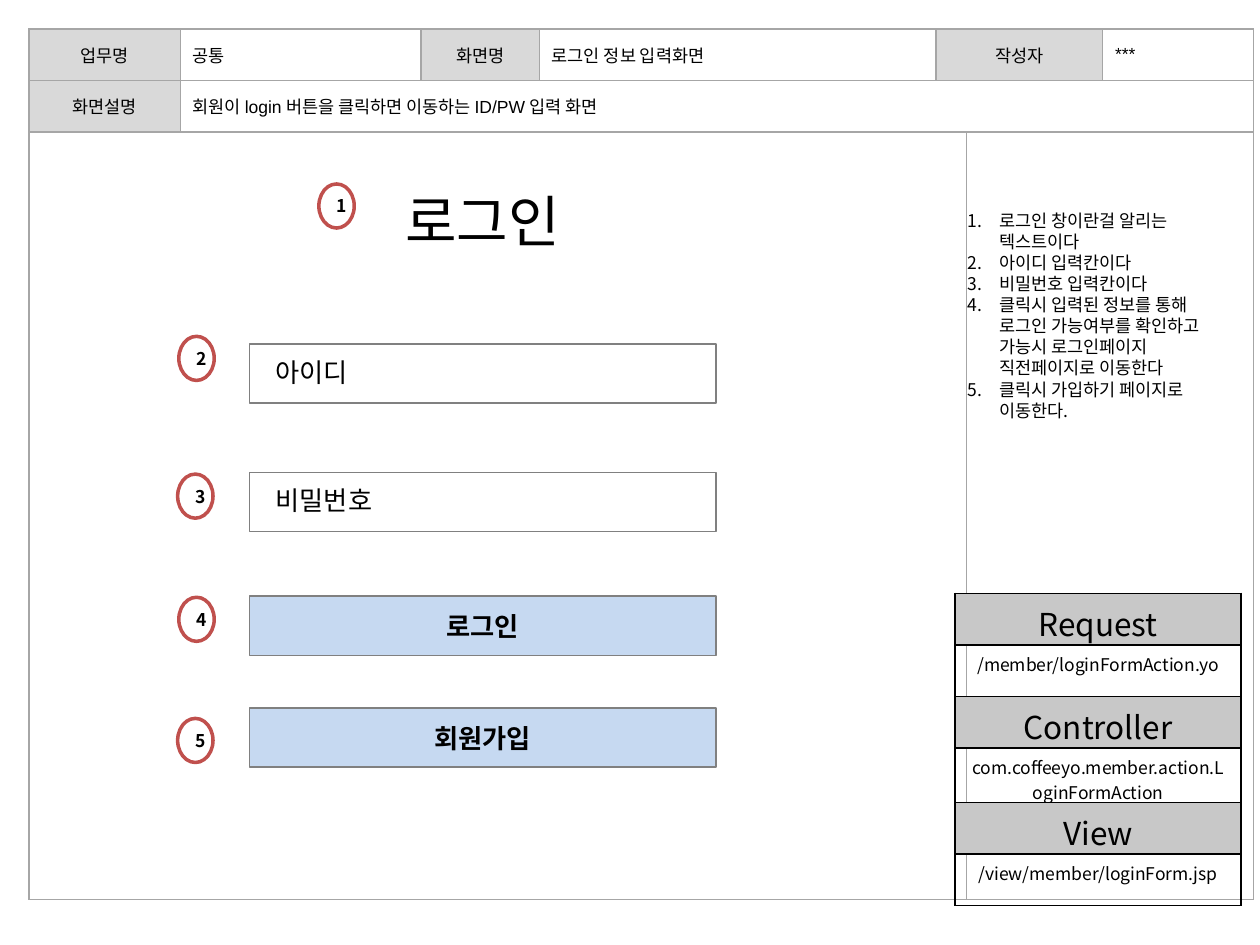
from lxml import etree
from pptx import Presentation
from pptx import util as u
from pptx.dml.color import RGBColor
from pptx.enum import shapes, text
from pptx.oxml.ns import qn

Pt = u.Pt
CJK = "Noto Sans CJK KR"
COLORS = {
    "text": "000000", "paper": "FFFFFF", "label": "D9D9D9", "grid": "A6A6A6",
    "heading": "C8C8C8", "outline": "808080", "button": "C6D9F1", "marker": "C0504D",
}

# Header cells: row, first column, last column, text, is a label
HEADER = [
    (0, 0, 0, "업무명", True), (0, 1, 1, "공통", False),
    (0, 2, 2, "화면명", True), (0, 3, 3, "로그인 정보 입력화면", False),
    (0, 4, 5, "작성자", True), (0, 6, 6, "***", False),
    (1, 0, 0, "화면설명", True),
    (1, 1, 6, "회원이 login 버튼을 클릭하면 이동하는 ID/PW 입력 화면", False),
    (2, 0, 4, "", False), (2, 5, 6, "", False),
]
FRAME_COLUMNS = [86.4, 137.5, 67.7, 226.8, 9.4, 77.8, 86.4]
FRAME_ROWS = [29.4, 29.4, 438.5]

TITLE = "로그인"
FIELDS = [("아이디", 196.4, 74.2), ("비밀번호", 270, 118.8)]  # text, top, width
BUTTONS = [("로그인", 340.8), ("회원가입", 404.6)]
MARKERS = [(182.2, 105.1), (102.2, 192.2), (101.5, 270.9), (102.2, 341.3), (101.5, 410.5)]
NOTES = [
    "로그인 창이란걸 알리는 텍스트이다",
    "아이디 입력칸이다",
    "비밀번호 입력칸이다",
    "클릭시 입력된 정보를 통해 로그인 가능여부를 확인하고 가능시 로그인페이지 직전페이지로 이동한다",
    "클릭시 가입하기 페이지로 이동한다.",
]
ROUTES = [
    ("Request", "/member/loginFormAction.yo"),
    ("Controller", "com.coffeeyo.member.action.LoginFormAction"),
    ("View", "/view/member/loginForm.jsp"),
]
CONTROL_LEFT, CONTROL_WIDTH, CONTROL_HEIGHT = 142.6, 266.4, 33.8
SIDE_LEFT, SIDE_WIDTH = 545.8, 163.4


def rgb(name):
    return RGBColor.from_string(COLORS[name])


def style(para, size, font=CJK, bold=False, align=text.PP_ALIGN.LEFT):
    para.alignment = align
    para.font.size, para.font.name, para.font.bold = Pt(size), font, bold
    para.font.color.rgb = rgb("text")


def add_grid(page, left, top, columns, rows):
    frame = page.shapes.add_table(len(rows), len(columns), Pt(left), Pt(top),
                                  Pt(sum(columns)), Pt(sum(rows)))
    table = frame.table
    table.first_row = table.horz_banding = False
    for column, width in zip(table.columns, columns):
        column.width = Pt(width)
    for row, height in zip(table.rows, rows):
        row.height = Pt(height)
    return table


def finish_cell(cell, fill, border):
    """Set the fill (None for clear) and a 1 pt border on all four sides."""
    if fill:
        cell.fill.solid()
        cell.fill.fore_color.rgb = rgb(fill)
    else:
        cell.fill.background()
    properties = cell._tc.get_or_add_tcPr()
    for index, side in enumerate(("a:lnL", "a:lnR", "a:lnT", "a:lnB")):
        line = etree.Element(qn(side), w=str(Pt(1)))
        solid = etree.SubElement(line, qn("a:solidFill"))
        etree.SubElement(solid, qn("a:srgbClr"), val=COLORS[border])
        properties.insert(index, line)


def add_block(parent, kind, place, fill, line=None, width=1, words="", **font):
    block = parent.shapes.add_shape(kind, *map(Pt, place))
    block.shadow.inherit = False
    block.fill.solid()
    block.fill.fore_color.rgb = rgb(fill)
    if line:
        block.line.color.rgb = rgb(line)
        block.line.width = Pt(width)
    else:
        block.line.fill.background()
    if words:
        block.text_frame.text = words
        block.text_frame.vertical_anchor = text.MSO_ANCHOR.MIDDLE
        style(block.text_frame.paragraphs[0], **font)
    return block


def add_text(page, place, lines):
    box = page.shapes.add_textbox(*map(Pt, place))
    box.text_frame.word_wrap = True
    box.text_frame.auto_size = text.MSO_AUTO_SIZE.SHAPE_TO_FIT_TEXT
    box.text_frame.text = "\n".join(lines)
    return box.text_frame.paragraphs


def add_frame(page):
    table = add_grid(page, 16.6, 16.6, FRAME_COLUMNS, FRAME_ROWS)
    for row, first, last, words, is_label in HEADER:
        cell = table.cell(row, first)
        if last > first:
            cell.merge(table.cell(row, last))
        cell.vertical_anchor = text.MSO_ANCHOR.MIDDLE
        cell.text = words
        align = text.PP_ALIGN.CENTER if is_label else text.PP_ALIGN.LEFT
        style(cell.text_frame.paragraphs[0], 10, "Arial", align=align)
        fill = "label" if is_label else None if words else "paper"
        for column in range(first, last + 1):
            finish_cell(table.cell(row, column), fill, "grid")


def add_form(page):
    rect, center = shapes.MSO_SHAPE.RECTANGLE, text.PP_ALIGN.CENTER
    title = add_text(page, (192.2, 103, 167, 44.6), [TITLE])[0]
    style(title, 32, align=center)
    for words, top, width in FIELDS:
        group = page.shapes.add_group_shape()
        add_block(group, rect, (CONTROL_LEFT, top, CONTROL_WIDTH, CONTROL_HEIGHT),
                  "paper", "outline")
        add_block(group, rect, (CONTROL_LEFT + 7.9, top + 6.6, width, 18.7),
                  "paper", words=words, size=15)
    for words, top in BUTTONS:
        add_block(page, rect, (CONTROL_LEFT, top, CONTROL_WIDTH, CONTROL_HEIGHT),
                  "button", "outline", words=words, size=15, bold=True, align=center)
    for number, (left, top) in enumerate(MARKERS, 1):
        add_block(page, shapes.MSO_SHAPE.OVAL, (left, top, 20.2, 25.2), "paper", "marker", 2,
                  str(number), size=10, bold=True, align=center)


def add_notes(page):
    for para in add_text(page, (SIDE_LEFT, 116.6, SIDE_WIDTH, 152.6), NOTES):
        properties = para._p.get_or_add_pPr()
        properties.set("marL", str(Pt(18)))
        properties.set("indent", str(-Pt(18)))
        etree.SubElement(properties, qn("a:buFont"), typeface=CJK)
        etree.SubElement(properties, qn("a:buAutoNum"), type="arabicPeriod")
        style(para, 10)


def add_routes(page):
    table = add_grid(page, SIDE_LEFT, 339.1, [SIDE_WIDTH], [29.4] * (2 * len(ROUTES)))
    for index, words in enumerate(item for route in ROUTES for item in route):
        size, fill = (10, None) if index % 2 else (18, "heading")
        cell = table.cell(index, 0)
        cell.text = words
        style(cell.text_frame.paragraphs[0], size, align=text.PP_ALIGN.CENTER)
        finish_cell(cell, fill, "text")


def main():
    deck = Presentation()
    deck.slide_width, deck.slide_height = Pt(720), Pt(540)
    page = deck.slides.add_slide(deck.slide_layouts[6])
    add_frame(page)
    add_form(page)
    add_notes(page)
    add_routes(page)
    deck.save("out.pptx")


if __name__ == "__main__":
    main()
